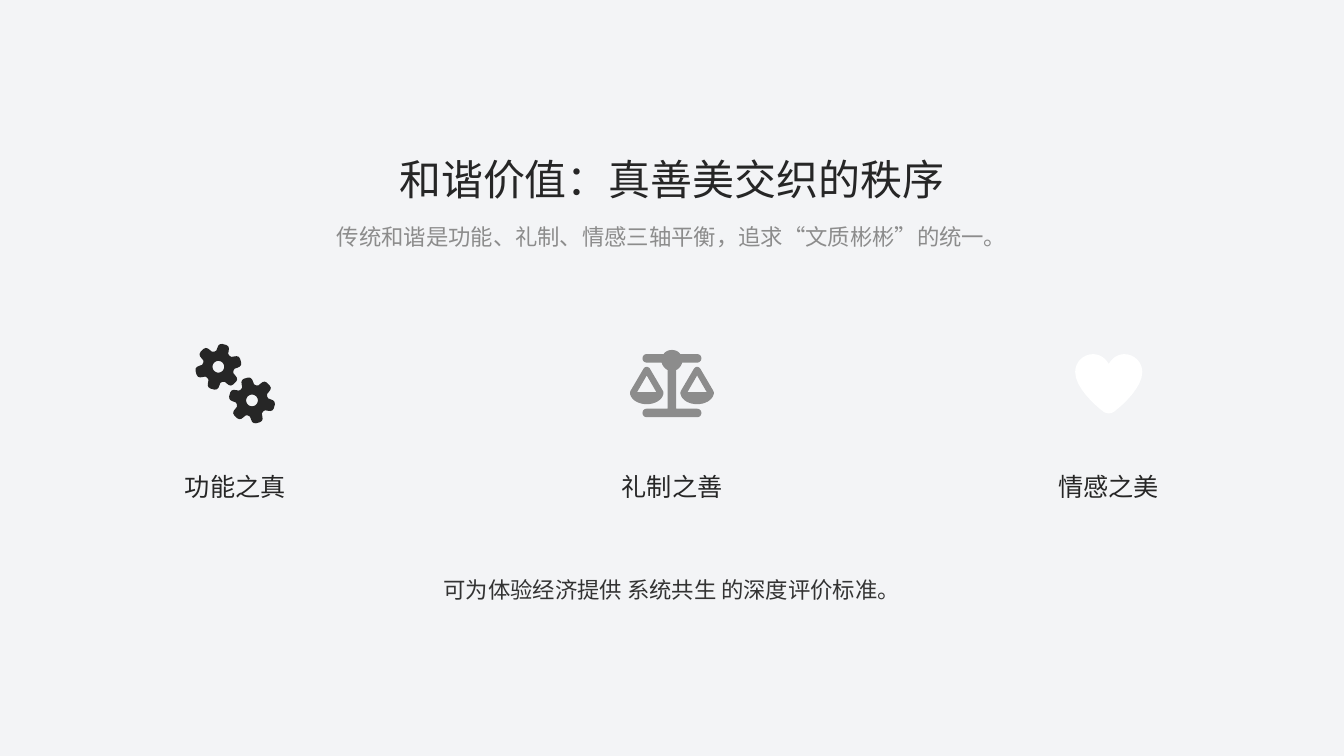
from math import cos, radians, sin

from lxml import etree
from pptx import Presentation, util as u
from pptx.dml.color import RGBColor
from pptx.enum import text
from pptx.oxml.ns import qn

COLORS = {"page": "F3F4F6", "ink": "262626", "muted": "8C8C8C",
          "heart": "FFFFFF", "closing": "333333"}
FONT = "Noto Sans CJK SC"
COLS, ROWS = 48, 27
CELL = u.Inches(7.5) / ROWS
ICON_UNIT = u.Inches(0.01)  # icon outlines are drawn in these units
DETAIL = 100  # freeform steps per icon unit


def cells(count):
    return u.Emu(round(count * CELL))


def add_text(slide, box, words, size, color, spacing=None):
    frame = slide.shapes.add_textbox(*map(cells, box)).text_frame
    frame.margin_left = frame.margin_right = 0
    frame.margin_top = frame.margin_bottom = 0
    frame.word_wrap = True
    frame.vertical_anchor = text.MSO_ANCHOR.MIDDLE
    line = frame.paragraphs[0]
    line.alignment = text.PP_ALIGN.CENTER
    line.line_spacing = spacing
    run = line.add_run()
    run.text = words
    run.font.size = u.Pt(size)
    run.font.name = FONT
    run.font.color.rgb = RGBColor.from_string(COLORS[color])
    etree.SubElement(run.font._element, qn("a:ea"), typeface=FONT)


# Outline helpers
def trace(start, *segments):
    """Follow lines (one point) and cubic curves (three points)."""
    points = [start]
    for segment in segments:
        if len(segment) == 1:
            points += segment
            continue
        curve = (points[-1], *segment)
        for step in range(1, 9):
            t = step / 8
            weights = ((1 - t) ** 3, 3 * t * (1 - t) ** 2, 3 * t * t * (1 - t), t ** 3)
            points.append(tuple(sum(w * p[axis] for w, p in zip(weights, curve))
                                for axis in (0, 1)))
    return points


def mirror(half):
    return half + [(-x, y) for x, y in reversed(half)]


def shift(points, dx, dy=0):
    return [(x + dx, y + dy) for x, y in points]


def polar(radius, degrees):
    return radius * sin(radians(degrees)), -radius * cos(radians(degrees))


# Icons: each returns its closed outlines around (0, 0)
def gears():
    tooth = [(-22, 16.2), (-18, 18.8), (-15, 21), (-11, 22.5), (-5, 23),
             (5, 23), (11, 22.5), (15, 21), (18, 18.8), (22, 16.2), (30, 15.5)]
    outlines = []
    for offset, turn in ((-16.7, 15), (16.7, -15)):
        rim = [polar(radius, turn + 60 * n + angle)
               for n in range(6) for angle, radius in tooth]
        hole = [polar(5.8, -angle) for angle in range(0, 360, 10)]
        outlines += [shift(rim, offset, offset), shift(hole, offset, offset)]
    return outlines


def scales():
    def bar_end(top):
        return (((27.5, top), (29.2, top + 1.9), (29.2, top + 4.2)),
                ((29.2, top + 6.5), (27.5, top + 8.4), (25, top + 8.4)))

    stand = trace((0, -33.3), ((3.6, -33.3), (6.7, -31.7), (8.3, -29.2)),
                  ((25, -29.2),), *bar_end(-29.2), ((10.2, -20.8),),
                  ((9.3, -17.6), (7.2, -14.8), (4.2, -13.4)),
                  ((4.2, 25),), ((25, 25),), *bar_end(25), ((0, 33.4),))
    pan = trace((0, -16.5), ((1.3, -16.5), (2.5, -15.8), (3.3, -14.5)),
                ((15.5, 6.3),), ((16.6, 8), (16.8, 9), (16.4, 10.8)),
                ((15, 16.5), (8, 20.5), (0, 20.5)))
    opening = [(0, -8), (-9.5, 8.4), (9.5, 8.4)]
    return [mirror(stand)] + [shift(part, side) for side in (-25, 25)
                              for part in (mirror(pan), opening)]


def heart():
    half = trace((0, -19.5), ((1.7, -22),),
                 ((5, -26.5), (10.2, -29.2), (15.6, -29.2)),
                 ((25.3, -29.2), (33.3, -21.3), (33.3, -11.5)),
                 ((33.3, 3.5), (14.6, 20.8), (5.5, 27.7)),
                 ((3.9, 28.9), (2, 29.5), (0, 29.5)))
    return [mirror(half)]


def add_icon(slide, center_x, center_y, outlines, color):
    outlines = [[(round(x * DETAIL), round(y * DETAIL)) for x, y in outline]
                for outline in outlines]
    builder = slide.shapes.build_freeform(*outlines[0][0], scale=ICON_UNIT / DETAIL)
    for index, outline in enumerate(outlines):
        if index:
            builder.move_to(*outline[0])
        builder.add_line_segments(outline[1:], close=True)
    icon = builder.convert_to_shape(cells(center_x), cells(center_y))
    icon.shadow.inherit = False
    icon.fill.solid()
    icon.fill.fore_color.rgb = RGBColor.from_string(COLORS[color])
    icon.line.fill.background()


# Slide regions
def add_heading(slide, left, top, width):
    add_text(slide, (left, top, width, 1.8), "和谐价值：真善美交织的秩序", 30, "ink")
    add_text(slide, (left, top + 2.2, width, 1.2),
             "传统和谐是功能、礼制、情感三轴平衡，追求“文质彬彬”的统一。",
             16, "muted", spacing=1.3)


def add_values(slide, left, top, width):
    label_width = 5.6
    values = [("功能之真", gears(), "ink"), ("礼制之善", scales(), "muted"),
              ("情感之美", heart(), "heart")]
    pitch = (width - label_width) / (len(values) - 1)
    for index, (label, outlines, color) in enumerate(values):
        x = left + index * pitch
        add_icon(slide, x + label_width / 2, top + 1.2, outlines, color)
        add_text(slide, (x, top + 4, label_width, 1.4), label, 18, "ink", spacing=1.3)


def add_closing(slide, left, top, width):
    add_text(slide, (left, top, width, 1.2),
             "可为体验经济提供 系统共生 的深度评价标准。", 16, "closing", spacing=1.3)


def main():
    deck = Presentation()
    deck.slide_width, deck.slide_height = cells(COLS), cells(ROWS)
    slide = deck.slides.add_slide(deck.slide_layouts[6])
    slide.background.fill.solid()
    slide.background.fill.fore_color.rgb = RGBColor.from_string(COLORS["page"])
    add_heading(slide, 0, 5.5, COLS)
    add_values(slide, 5.6, 12.5, 36.8)
    add_closing(slide, 1, 20.3, 46)
    deck.save("out.pptx")


if __name__ == "__main__":
    main()
